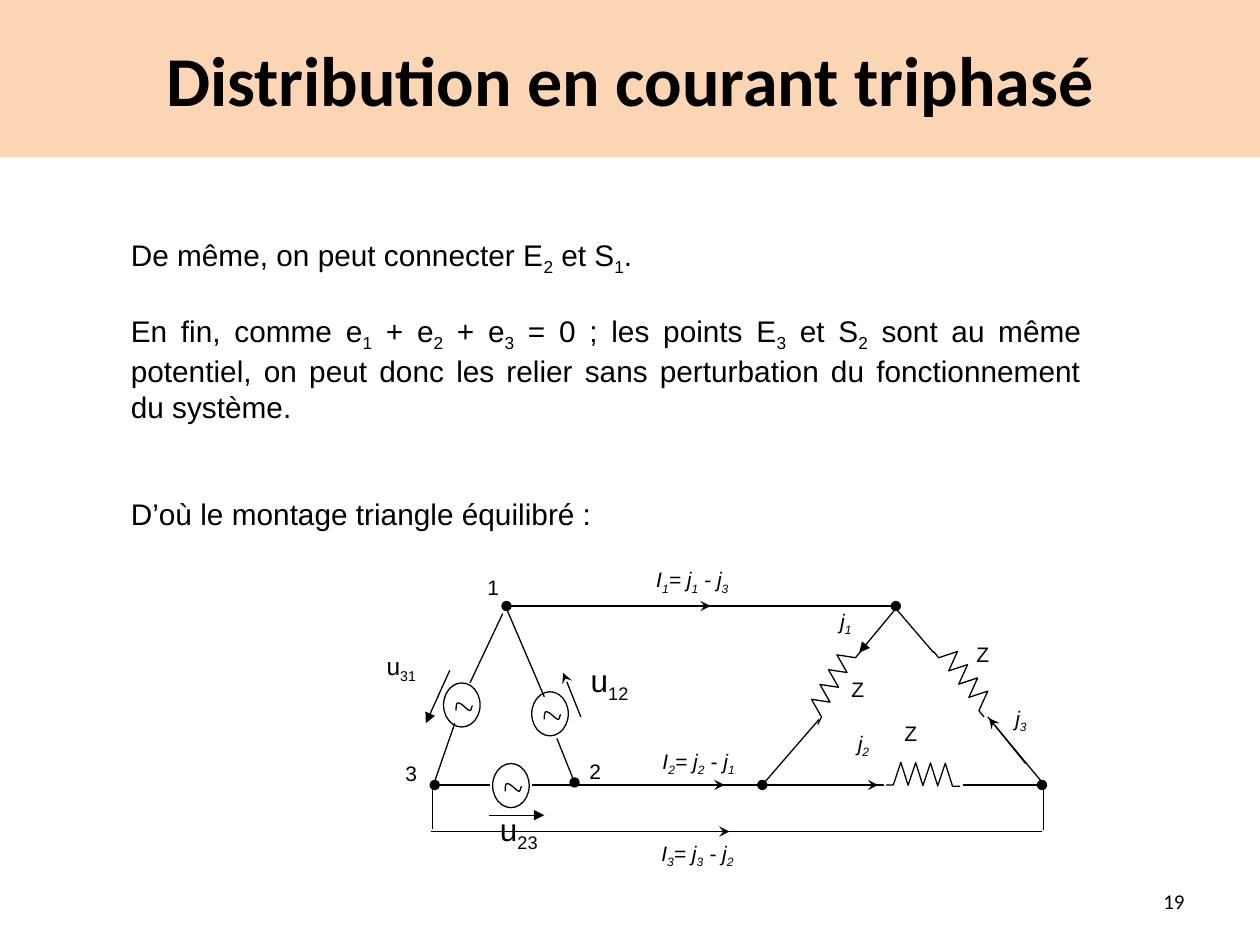
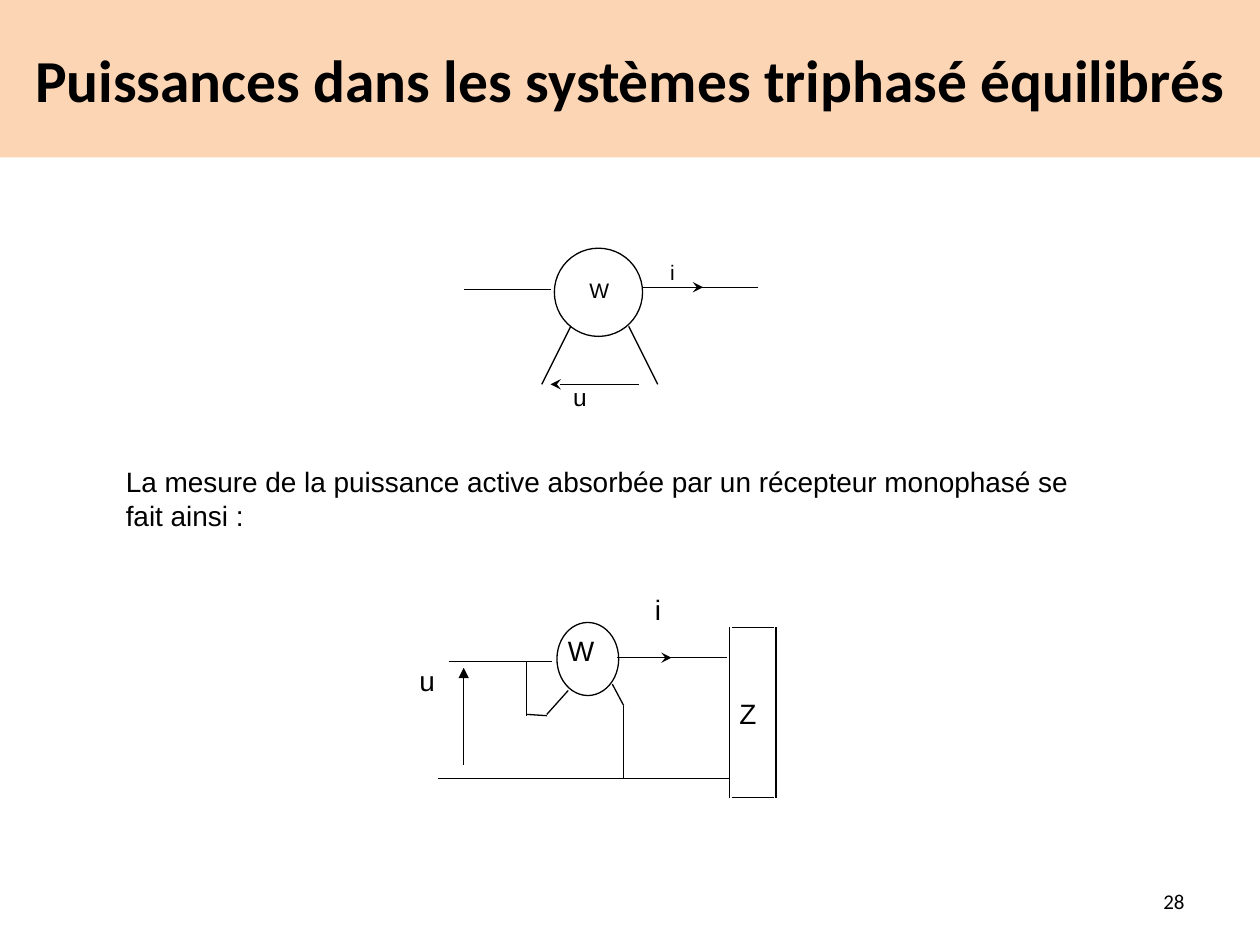
from dataclasses import dataclass

from lxml.etree import SubElement
from pptx import Presentation
from pptx.dml.color import RGBColor
from pptx.enum.shapes import MSO_CONNECTOR, MSO_SHAPE
from pptx.enum.text import MSO_ANCHOR, PP_ALIGN
from pptx.oxml.ns import qn
from pptx.util import Inches, Pt


@dataclass(frozen=True)
class Theme:
    ink: RGBColor = RGBColor(0x00, 0x00, 0x00)
    paper: RGBColor = RGBColor(0xFF, 0xFF, 0xFF)
    band: RGBColor = RGBColor(0xFC, 0xD5, 0xB5)
    title_font: str = "Calibri"
    body_font: str = "Arial"
    line_width: float = 0.75
    label_size: int = 12
    voltage_size: int = 18
    small_voltage_size: int = 14
    meter_size: int = 16


THEME = Theme()

# Content. In texts, the character after "_" is a subscript.
# Wires: x1, y1, x2, y2, then the mark at the start and at the end.
# Labels: text, left, top, then the text format.
ITALIC = {"italic": True}
VOLTAGE = {"size": THEME.voltage_size}
METER = {"size": THEME.meter_size}

DELTA = {
    "title": "Distribution en courant triphasé",
    "title_size": 40,
    "number": "19",
    "body": [
        "De même, on peut connecter E_2 et S_1.",
        "En fin, comme e_1 + e_2 + e_3 = 0 ; les points E_3 et S_2 sont au même "
        "potentiel, on peut donc les relier sans perturbation du fonctionnement "
        "du système.",
        "D’où le montage triangle équilibré :",
    ],
    "body_box": (0.94, 1.83, 7.74, 2.6),
    "body_format": {"size": 17, "align": PP_ALIGN.JUSTIFY, "gaps": (0, 20, 41)},
    "generators": [(3.52, 5.42), (4.22, 5.49), (3.91, 6.06)],
    "meters": [],
    # lead start, first base, first peak, last base, lead end
    "resistors": [
        ((7.41, 5.17), (7.45, 5.22), (7.6, 5.17), (7.77, 5.64), (7.81, 5.69)),
        ((6.49, 5.75), (6.52, 5.69), (6.44, 5.55), (6.79, 5.22), (6.83, 5.17)),
        ((7.03, 6.23), (7.09, 6.23), (7.15, 6.05), (7.56, 6.24), (7.62, 6.24)),
    ],
    "wires": [
        # line conductors
        (4.02, 4.81, 7.11, 4.81, "oval", "oval"),
        (7.02, 6.23, 4.22, 6.23, None, None),
        (3.42, 6.6, 8.27, 6.6, None, None),
        (8.28, 6.24, 8.28, 6.59, None, None),
        (3.43, 6.23, 3.43, 6.58, None, None),
        # generator triangle
        (3.99, 4.87, 3.73, 5.42, None, None),
        (3.61, 5.74, 3.44, 6.23, None, None),
        (4.02, 4.83, 4.32, 5.53, None, None),
        (4.42, 5.86, 4.56, 6.21, None, "oval"),
        (3.45, 6.23, 3.89, 6.23, "oval", None),
        # load triangle
        (7.41, 5.18, 7.11, 4.83, None, None),
        (7.84, 5.69, 8.28, 6.22, None, None),
        (6.5, 5.71, 6.05, 6.23, None, "oval"),
        (7.64, 6.23, 8.27, 6.23, None, "oval"),
        # voltage arrows
        (4.61, 5.69, 4.47, 5.34, None, "stealth"),
        (3.88, 6.47, 4.32, 6.47, None, "triangle"),
        (3.57, 5.32, 3.38, 5.74, None, "triangle"),
        # current arrows
        (5.05, 4.81, 5.64, 4.81, None, "stealth"),
        (5.31, 6.23, 5.75, 6.23, None, "stealth"),
        (5.05, 6.6, 5.79, 6.6, None, "stealth"),
        (7.11, 4.83, 6.82, 5.18, None, "triangle"),
        (6.67, 6.23, 6.97, 6.23, None, "stealth"),
        (8.14, 6.06, 7.85, 5.7, None, "stealth"),
    ],
    "labels": [
        ("Z", 7.08, 5.67, {}),
        ("Z", 7.65, 5.04, {}),
        ("Z", 6.66, 5.32, {}),
        ("1", 3.77, 4.51, {}),
        ("2", 4.58, 5.97, {}),
        ("3", 3.12, 5.99, {}),
        ("I_1= j_1 - j_3", 5.11, 4.45, ITALIC),
        ("I_2= j_2 - j_1", 5.16, 5.89, ITALIC),
        ("I_3= j_3 - j_2", 5.15, 6.62, ITALIC),
        ("j_1", 6.57, 4.78, ITALIC),
        ("j_2", 6.71, 5.75, ITALIC),
        ("j_3", 7.96, 5.55, ITALIC),
        ("u_1_2", 4.59, 5.2, VOLTAGE),
        ("u_2_3", 3.87, 6.38, VOLTAGE),
        ("u_3_1", 2.97, 5.12, {"size": THEME.small_voltage_size}),
    ],
}

POWER = {
    "title": "Puissances dans les systèmes triphasé équilibrés",
    "title_size": 34,
    "number": "28",
    "body": [
        "La mesure de la puissance active absorbée par un récepteur monophasé "
        "se fait ainsi :",
    ],
    "body_box": (0.9, 3.64, 7.8, 0.7),
    "body_format": {"size": 16},
    "generators": [],
    "meters": [(4.4, 1.97, 0.7, 0.7), (4.42, 4.94, 0.49, 0.58)],
    "resistors": [],
    "wires": [
        # wattmeter symbol
        (3.68, 2.3, 4.37, 2.3, None, None),
        (5.1, 2.28, 6.02, 2.28, None, None),
        (5.12, 2.28, 5.58, 2.28, None, "stealth"),
        (4.53, 2.59, 4.3, 3.05, None, None),
        (4.99, 2.59, 5.22, 3.05, None, None),
        (5.07, 3.05, 4.37, 3.05, None, "stealth"),
        # supply side
        (3.56, 5.25, 4.38, 5.25, None, None),
        (4.95, 5.22, 5.77, 5.22, None, None),
        (4.9, 5.22, 5.33, 5.22, None, "stealth"),
        (5.79, 6.18, 3.48, 6.18, None, None),
        (3.68, 6.07, 3.68, 5.3, None, "triangle"),
        # voltage coil
        (4.18, 5.25, 4.18, 5.68, None, None),
        (4.18, 5.67, 4.34, 5.68, None, None),
        (4.34, 5.67, 4.51, 5.48, None, None),
        (4.86, 5.43, 4.95, 5.6, None, None),
        (4.95, 5.6, 4.95, 6.18, None, None),
        # load
        (5.79, 4.98, 5.79, 6.33, None, None),
        (6.16, 4.98, 6.16, 6.33, None, None),
        (6.14, 4.98, 5.81, 4.98, None, None),
        (6.14, 6.33, 5.81, 6.33, None, None),
    ],
    "labels": [
        ("i", 5.22, 2.01, {}),
        ("W", 4.58, 2.15, {}),
        ("u", 4.45, 2.98, {"size": THEME.small_voltage_size}),
        ("i", 5.1, 4.65, METER),
        ("W", 4.41, 4.98, METER),
        ("u", 3.23, 5.22, METER),
        ("Z", 5.77, 5.48, METER),
    ],
}

# Alternating-current sign inside a generator, as Bézier points from its corner
GENERATOR_SIZE = (0.29, 0.35)
WAVE = [
    [(0.1, 0.22), (0.1, 0.2), (0.1, 0.17), (0.11, 0.16)],
    [(0.11, 0.16), (0.14, 0.15), (0.19, 0.22), (0.21, 0.22)],
    [(0.21, 0.22), (0.22, 0.22), (0.22, 0.2), (0.23, 0.18)],
]
WAVE_STEPS = 8
TEETH = 4
LABEL_SIZE = (1.0, 0.35)


def add_text(slide, paragraphs, box, *, size=THEME.label_size, font=THEME.body_font,
             bold=False, italic=False, align=PP_ALIGN.LEFT, anchor=MSO_ANCHOR.TOP,
             fill=None, gaps=None):
    shape = slide.shapes.add_textbox(*map(Inches, box))
    if fill is not None:
        shape.fill.solid()
        shape.fill.fore_color.rgb = fill
    frame = shape.text_frame
    frame.word_wrap = True
    frame.vertical_anchor = anchor
    for index, text in enumerate(paragraphs):
        paragraph = frame.paragraphs[0] if index == 0 else frame.add_paragraph()
        paragraph.alignment = align
        if gaps:
            paragraph.space_before = Pt(gaps[index])
        first, *rest = text.split("_")
        pieces = [(first, False)]
        for part in rest:
            pieces += [(part[0], True), (part[1:], False)]
        for piece, lowered in pieces:
            if not piece:
                continue
            run = paragraph.add_run()
            run.text = piece
            run.font.name = font
            run.font.size = Pt(size)
            run.font.bold = bold
            run.font.italic = italic
            run.font.color.rgb = THEME.ink
            if lowered:
                run.font._element.set("baseline", "-25000")


def style_line(shape):
    shape.line.color.rgb = THEME.ink
    shape.line.width = Pt(THEME.line_width)


def add_wire(slide, x1, y1, x2, y2, head, tail):
    wire = slide.shapes.add_connector(
        MSO_CONNECTOR.STRAIGHT, *map(Inches, (x1, y1, x2, y2)))
    style_line(wire)
    properties = wire._element.spPr
    for tag, mark in (("a:headEnd", head), ("a:tailEnd", tail)):
        if mark:
            SubElement(properties.find(qn("a:ln")), qn(tag), type=mark)
    SubElement(properties, qn("a:effectLst"))


def add_polyline(slide, points):
    points = [(Inches(x), Inches(y)) for x, y in points]
    builder = slide.shapes.build_freeform(*points[0])
    builder.add_line_segments(points[1:], close=False)
    shape = builder.convert_to_shape()
    shape.shadow.inherit = False
    shape.fill.background()
    style_line(shape)


def add_circle(slide, box):
    circle = slide.shapes.add_shape(MSO_SHAPE.OVAL, *map(Inches, box))
    circle.shadow.inherit = False
    circle.fill.solid()
    circle.fill.fore_color.rgb = THEME.paper
    style_line(circle)


def bezier(points, t):
    weights = ((1 - t) ** 3, 3 * t * (1 - t) ** 2, 3 * t * t * (1 - t), t ** 3)
    return tuple(sum(w * p[axis] for w, p in zip(weights, points)) for axis in (0, 1))


def add_generator(slide, left, top):
    add_circle(slide, (left, top, *GENERATOR_SIZE))
    curve = [bezier(part, step / WAVE_STEPS)
             for part in WAVE for step in range(WAVE_STEPS + 1)]
    add_polyline(slide, [(left + x, top + y) for x, y in curve])


def add_resistor(slide, start, base, peak, last_base, end):
    step_x = (last_base[0] - base[0]) / TEETH
    step_y = (last_base[1] - base[1]) / TEETH
    points = [start]
    for tooth in range(TEETH):
        for x, y in (base, peak):
            points.append((x + tooth * step_x, y + tooth * step_y))
    add_polyline(slide, points + [last_base, end])


def build_slide(presentation, content):
    slide = presentation.slides.add_slide(presentation.slide_layouts[6])
    # Title band, body and slide number
    add_text(slide, [content["title"]], (0, 0, 10, 1.25), size=content["title_size"],
             font=THEME.title_font, bold=True, align=PP_ALIGN.CENTER,
             anchor=MSO_ANCHOR.MIDDLE, fill=THEME.band)
    add_text(slide, content["body"], content["body_box"], **content["body_format"])
    add_text(slide, [content["number"]], (7.17, 6.95, 2.33, 0.4),
             font=THEME.title_font, align=PP_ALIGN.RIGHT, anchor=MSO_ANCHOR.MIDDLE)
    # Circuit
    for corner in content["generators"]:
        add_generator(slide, *corner)
    for box in content["meters"]:
        add_circle(slide, box)
    for resistor in content["resistors"]:
        add_resistor(slide, *resistor)
    for wire in content["wires"]:
        add_wire(slide, *wire)
    for text, left, top, text_format in content["labels"]:
        add_text(slide, [text], (left, top, *LABEL_SIZE), **text_format)


def main():
    presentation = Presentation()
    presentation.slide_width = Inches(10)
    presentation.slide_height = Inches(7.5)
    for content in (DELTA, POWER):
        build_slide(presentation, content)
    presentation.save("out.pptx")


if __name__ == "__main__":
    main()
